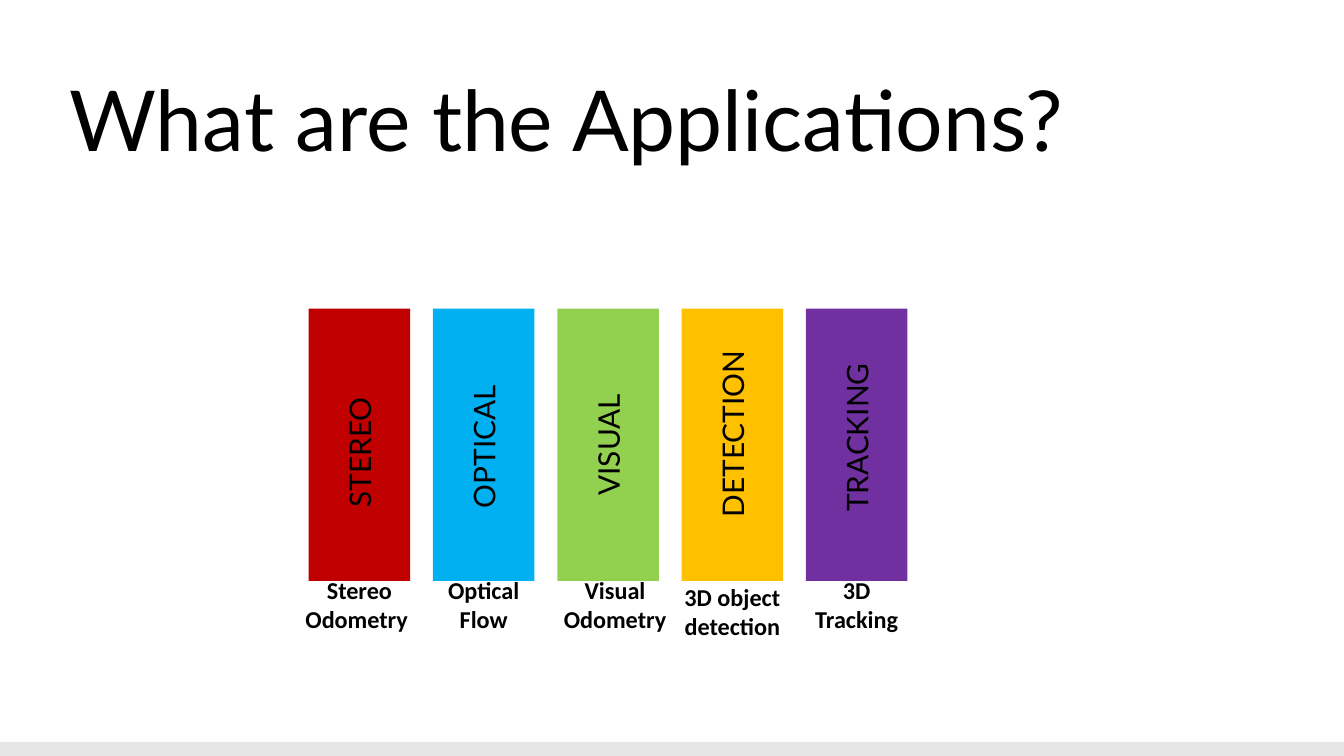
from pptx import Presentation
from pptx.dml.color import RGBColor
from pptx.enum.shapes import MSO_SHAPE
from pptx.enum.text import MSO_ANCHOR, MSO_AUTO_SIZE, PP_ALIGN
from pptx.util import Pt

COLORS = {
    "black": "000000", "footer": "E7E6E6", "red": "C00000", "blue": "00B0F0",
    "green": "92D050", "amber": "FFC000", "purple": "7030A0",
}

prs = Presentation()
prs.slide_width, prs.slide_height = Pt(960), Pt(540)
s = prs.slides.add_slide(prs.slide_layouts[6])


def add_rect(left, top, width, height, color):
    sp = s.shapes.add_shape(MSO_SHAPE.RECTANGLE, Pt(left), Pt(top), Pt(width), Pt(height))
    sp.shadow.inherit = False
    sp.fill.solid()
    sp.fill.fore_color.rgb = RGBColor.from_string(COLORS[color])
    sp.line.fill.background()


def add_text(text, left, top, width, height, font, size, anchor, inset=None):
    sp = s.shapes.add_textbox(Pt(left), Pt(top), Pt(width), Pt(height))
    tf = sp.text_frame
    tf.word_wrap = True
    tf.vertical_anchor = anchor
    if inset is not None:
        tf.margin_left = tf.margin_right = tf.margin_top = tf.margin_bottom = Pt(inset)
    tf.text = text
    r = tf.paragraphs[0].runs[0]
    r.font.name, r.font.size = font, Pt(size)
    r.font.color.rgb = RGBColor.from_string(COLORS["black"])
    return sp


# Footer strip and title
add_rect(0, 530, 960, 10, "footer")
title = add_text("What are the Applications?", 40, 42.5, 754.5, 88.5,
                 "Lato", 60, MSO_ANCHOR.BOTTOM, 9.6)
title.text_frame.paragraphs[0].line_spacing = 0.9

# Bars with a vertical label inside and a caption below
BAR_LEFT, BAR_TOP, BAR_W, BAR_H, BAR_STEP = 220.5, 220.5, 72.5, 194.5, 88.8
LABEL_H, CAPTION_H = 33, 33
# color, label, label length, label centre y, caption, caption width, shift x, shift y
applications = [
    ("red", "STEREO", 104, 317.5, "Stereo Odometry ", 112, 0, 0),
    ("blue", "OPTICAL", 122, 309, "Optical Flow", 94, 0, 0),
    ("green", "VISUAL", 104, 309, "Visual Odometry", 106, 5, 0),
    ("amber", "DETECTION", 140, 306.5, "3D object detection", 94, 0, 5),
    ("purple", "TRACKING", 127, 309, "3D Tracking", 91, 0, 0),
]
for i, (color, label, length, label_y, caption, width, dx, dy) in enumerate(applications):
    left = BAR_LEFT + i * BAR_STEP
    center = left + BAR_W / 2
    add_rect(left, BAR_TOP, BAR_W, BAR_H, color)

    sp = add_text(label, center - length / 2, label_y - LABEL_H / 2, length, LABEL_H,
                  "Lato", 21.3, MSO_ANCHOR.TOP)
    sp.rotation = 270
    sp.text_frame.auto_size = MSO_AUTO_SIZE.SHAPE_TO_FIT_TEXT

    sp = add_text(caption, center - width / 2 + dx, BAR_TOP + BAR_H + dy, width, CAPTION_H,
                  "Calibri", 17.3, MSO_ANCHOR.MIDDLE, 9.6)
    p = sp.text_frame.paragraphs[0]
    p.alignment = PP_ALIGN.CENTER
    p.runs[0].font.bold = True

prs.save("out.pptx")
